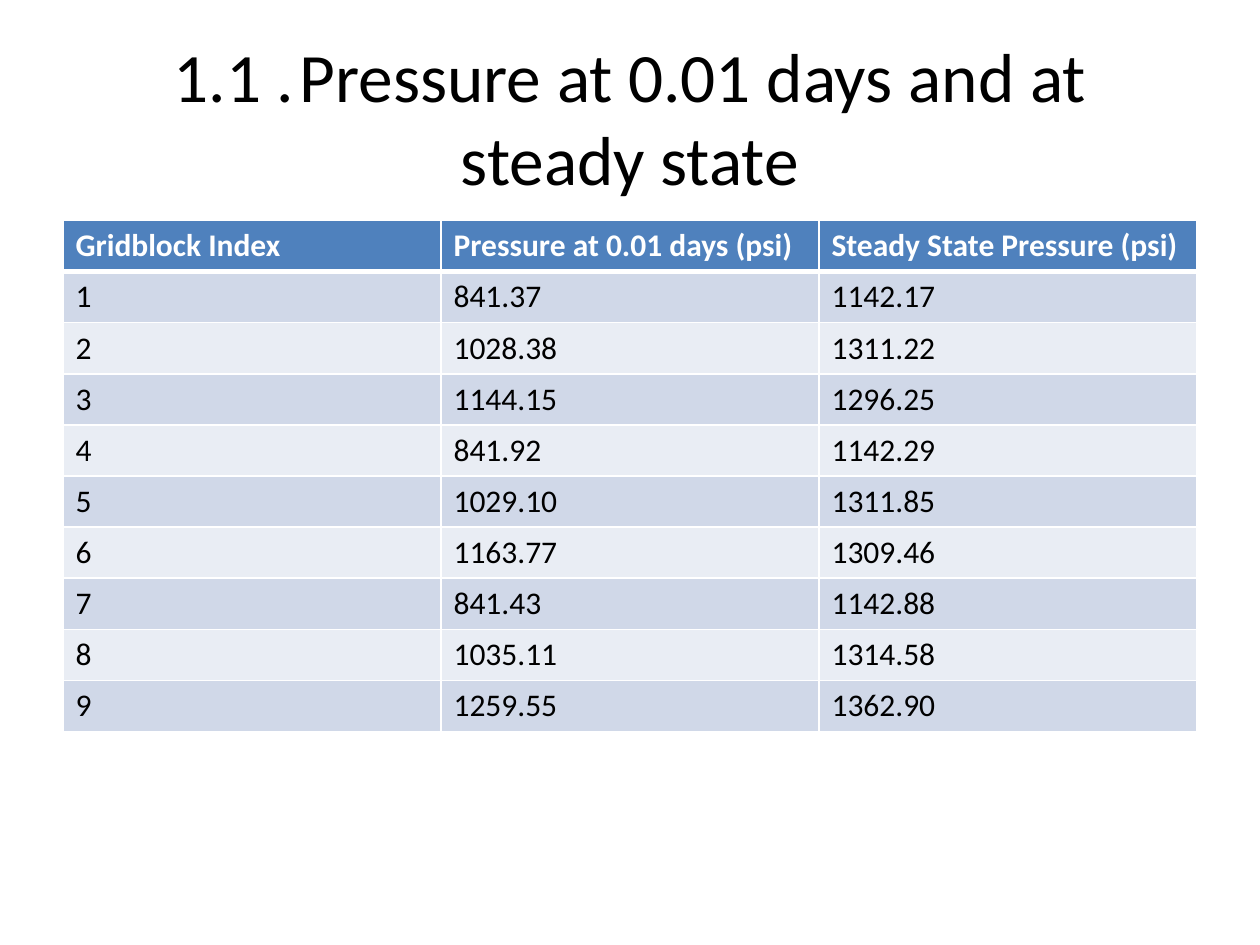
from lxml.etree import SubElement
from pptx import Presentation
from pptx.dml.color import RGBColor
from pptx.enum.text import MSO_ANCHOR, MSO_AUTO_SIZE, PP_ALIGN
from pptx.oxml.ns import qn
from pptx.util import Pt

BLACK = RGBColor(0x00, 0x00, 0x00)
WHITE = RGBColor(0xFF, 0xFF, 0xFF)
HEADER_BLUE = RGBColor(0x4F, 0x81, 0xBD)
BANDS = (RGBColor(0xD0, 0xD8, 0xE8), RGBColor(0xE9, 0xED, 0xF4))
FONT = "Calibri"

TITLE = "1.1 .\tPressure at 0.01 days and at steady state"
HEADINGS = ("Gridblock Index", "Pressure at 0.01 days (psi)",
            "Steady State Pressure (psi)")
PRESSURES = (
    ("841.37", "1142.17"),
    ("1028.38", "1311.22"),
    ("1144.15", "1296.25"),
    ("841.92", "1142.29"),
    ("1029.10", "1311.85"),
    ("1163.77", "1309.46"),
    ("841.43", "1142.88"),
    ("1035.11", "1314.58"),
    ("1259.55", "1362.90"),
)


def style_font(para, size, color, bold=False):
    para.font.name = FONT
    para.font.size = Pt(size)
    para.font.bold = bold
    para.font.color.rgb = color


def add_borders(cell, widths):
    """Draw white cell borders; widths maps each side to points."""
    properties = cell._tc.get_or_add_tcPr()
    for side, width in widths.items():
        line = SubElement(properties, qn(f"a:ln{side}"), w=str(Pt(width)))
        fill = SubElement(line, qn("a:solidFill"))
        SubElement(fill, qn("a:srgbClr"), val=str(WHITE))


def place_title(page, left, top, width, height):
    title = page.shapes.title
    title.left, title.top = Pt(left), Pt(top)
    title.width, title.height = Pt(width), Pt(height)
    frame = title.text_frame
    frame.text = TITLE
    frame.word_wrap = True
    frame.auto_size = MSO_AUTO_SIZE.NONE
    frame.vertical_anchor = MSO_ANCHOR.MIDDLE
    para = frame.paragraphs[0]
    para.alignment = PP_ALIGN.CENTER
    style_font(para, 39.6, BLACK)


def place_pressure_table(page, left, top, width, height):
    rows = [HEADINGS]
    rows += [(str(index), *values) for index, values in enumerate(PRESSURES, 1)]
    table = page.shapes.add_table(len(rows), len(HEADINGS), Pt(left), Pt(top),
                                  Pt(width), Pt(height)).table
    for r, row in enumerate(rows):
        is_header = r == 0
        for c, text in enumerate(row):
            cell = table.cell(r, c)
            # The rule under the header is thicker than the other borders
            add_borders(cell, {"L": 1, "R": 1, "T": 3 if r == 1 else 1,
                               "B": 3 if is_header else 1})
            cell.fill.solid()
            cell.fill.fore_color.rgb = HEADER_BLUE if is_header else BANDS[(r - 1) % 2]
            cell.text = text
            style_font(cell.text_frame.paragraphs[0], 18,
                       WHITE if is_header else BLACK, is_header)


def main():
    deck = Presentation()
    deck.slide_width, deck.slide_height = Pt(720), Pt(540)
    page = deck.slides.add_slide(deck.slide_layouts[5])  # title only
    place_title(page, 36, 21.6, 648, 90)
    place_pressure_table(page, 36, 126, 648, 292)
    deck.save("out.pptx")


if __name__ == "__main__":
    main()
